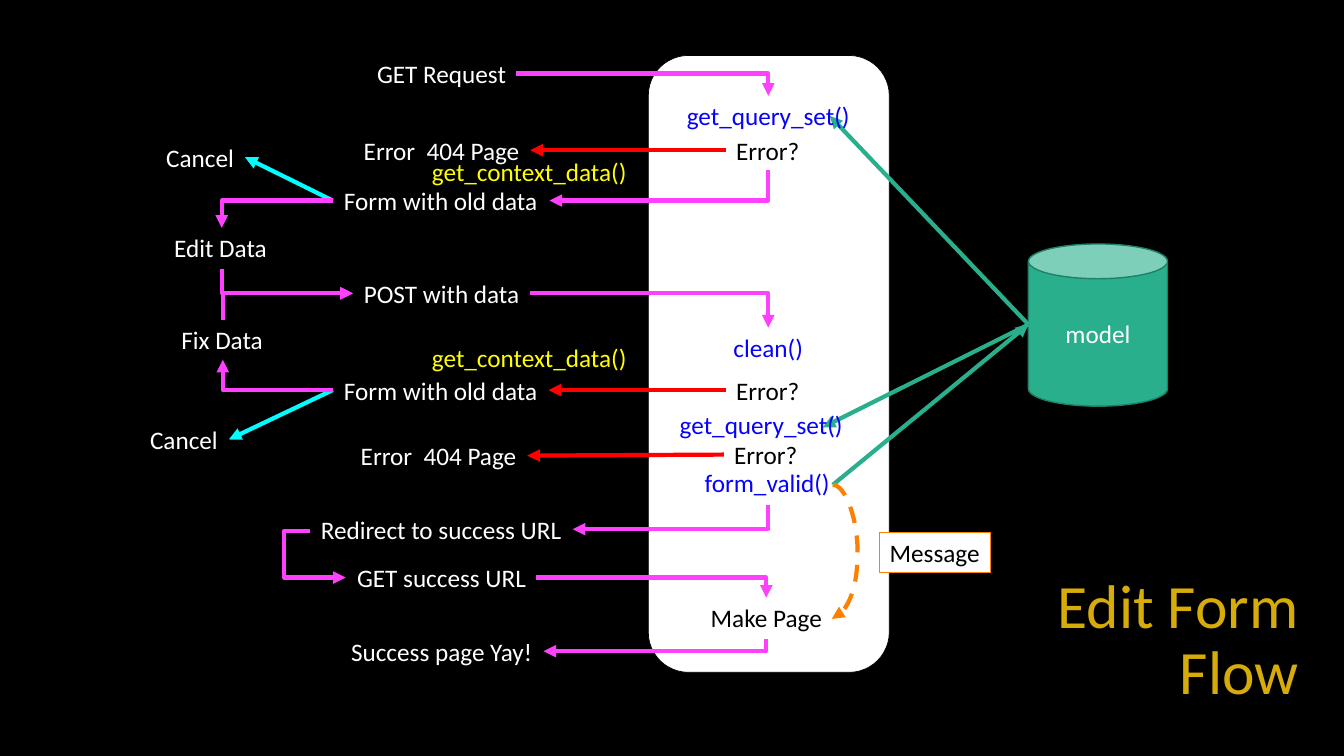
from dataclasses import dataclass

from lxml import etree
from pptx import Presentation
from pptx import util as u
from pptx.dml.color import RGBColor
from pptx.enum import dml, shapes, text
from pptx.oxml.ns import qn

EMU_PER_PX = 9144  # 100 px to the inch
TOP, LEFT, BOTTOM, RIGHT = range(4)
ROW = 40  # height of a one-line label


@dataclass(frozen=True)
class Theme:
    font: str = "Calibri"
    body: int = 18
    title: int = 44
    stroke: int = 3
    black: str = "000000"
    white: str = "FFFFFF"
    gold: str = "D7AC08"
    step: str = "FF40FF"
    error: str = "FF0000"
    cancel: str = "00FDFF"
    data: str = "29AF8C"
    data_edge: str = "1E8168"
    message: str = "FF7F00"
    method: str = "0500FF"
    context: str = "FFFF00"


THEME = Theme()


def px(length):
    return u.Emu(round(length * EMU_PER_PX))


def rgb(colour):
    return RGBColor.from_string(colour)


def write(shape, words, size=THEME.body, colour=THEME.white,
          align=text.PP_ALIGN.CENTER, wrap=False, grow=False,
          anchor=None, spacing=None):
    frame = shape.text_frame
    frame.word_wrap = wrap
    if grow:
        frame.auto_size = text.MSO_AUTO_SIZE.SHAPE_TO_FIT_TEXT
    if anchor is not None:
        frame.vertical_anchor = anchor
    para = frame.paragraphs[0]
    para.alignment = align
    para.line_spacing = spacing
    span = para.add_run()
    span.text = words
    span.font.name = THEME.font
    span.font.size = u.Pt(size)
    span.font.color.rgb = rgb(colour)


def add_label(page, words, left, top, width, **look):
    box = page.shapes.add_textbox(px(left), px(top), px(width), px(ROW))
    write(box, words, grow=True, **look)
    return box


def add_block(page, kind, left, top, width, height, fill, edge, weight):
    block = page.shapes.add_shape(kind, px(left), px(top), px(width), px(height))
    block.shadow.inherit = False
    block.fill.solid()
    block.fill.fore_color.rgb = rgb(fill)
    block.line.color.rgb = rgb(edge)
    block.line.width = u.Pt(weight)
    return block


def add_arrow(page, start, end, colour, kind=shapes.MSO_CONNECTOR.STRAIGHT,
              preset=None, bend=None, dash=None):
    arrow = page.shapes.add_connector(kind, *(px(v) for v in (*start, *end)))
    arrow.line.color.rgb = rgb(colour)
    arrow.line.width = u.Pt(THEME.stroke)
    if dash is not None:
        arrow.line.dash_style = dash
    properties = arrow._element.spPr
    geometry = properties.find(qn("a:prstGeom"))
    if preset:
        geometry.set("prst", preset)
    if bend is not None:
        guides = geometry.get_or_add_avLst()
        etree.SubElement(guides, qn("a:gd"), name="adj1", fmla=f"val {bend}")
    etree.SubElement(properties.find(qn("a:ln")), qn("a:tailEnd"), type="triangle")
    etree.SubElement(properties, qn("a:effectLst"))
    return arrow


def add_corner(page, start, end, upright=False):
    """One-corner arrow; an upright one sets off vertically."""
    rotation = 0
    if upright:
        # Lay the arrow flat around its centre, then turn it by a quarter
        (x1, y1), (x2, y2) = start, end
        middle_x, middle_y = (x1 + x2) / 2, (y1 + y2) / 2
        down = y2 > y1
        rotation = 90 if down else 270
        half_run = abs(y2 - y1) / 2
        half_drop = (x1 - x2 if down else x2 - x1) / 2
        start = middle_x - half_run, middle_y - half_drop
        end = middle_x + half_run, middle_y + half_drop
    arrow = add_arrow(page, start, end, THEME.step,
                      shapes.MSO_CONNECTOR.ELBOW, "bentConnector2")
    if rotation:
        arrow._element.spPr.find(qn("a:xfrm")).set("rot", str(rotation * 60000))


def add_link(page, source, source_side, target, target_side, colour):
    arrow = add_arrow(page, (0, 0), (1, 1), colour)
    arrow.begin_connect(source, source_side)
    arrow.end_connect(target, target_side)


def add_title(page):
    box = page.shapes.add_textbox(px(1000), px(564), px(298), px(145))
    write(box, "Edit Form Flow", size=THEME.title, colour=THEME.gold, wrap=True,
          align=text.PP_ALIGN.RIGHT, anchor=text.MSO_ANCHOR.MIDDLE, spacing=0.9)


def add_server_and_model(page):
    add_block(page, shapes.MSO_SHAPE.ROUNDED_RECTANGLE, 643, 55, 239, 612,
              THEME.white, THEME.black, 0.5)
    model = add_block(page, shapes.MSO_SHAPE.CAN, 1020, 242, 138, 161,
                      THEME.data, THEME.data_edge, 1)
    write(model, "model")


def add_pages_and_links(page):
    # Pages and requests
    for words, left, top, width in (
            ("GET Request", 363, 53, 150),
            ("POST with data", 350, 271, 176),
            ("Redirect to success URL", 307, 505, 261),
            ("GET success URL", 343, 553, 190),
            ("Success page Yay!", 337, 626, 202)):
        add_label(page, words, left, top, width)
    missing = [add_label(page, "Error  404 Page", left, top, 176)
               for left, top in ((350, 129), (347, 432))]
    forms = [add_label(page, "Form with old data", 330, top, 214)
             for top in (179, 367)]

    # User actions
    for words, left, top, width in (("Edit Data", 163, 226, 113),
                                    ("Fix Data", 170, 317, 102)):
        add_label(page, words, left, top, width, align=text.PP_ALIGN.LEFT)
    cancels = [add_label(page, "Cancel", left, top, 88, align=text.PP_ALIGN.LEFT)
               for left, top in ((155, 136), (139, 416))]

    # Server checks
    errors = [add_label(page, "Error?", left, top, 83, colour=THEME.black)
              for left, top in ((720, 129), (720, 367), (718, 431))]
    add_label(page, "Make Page", 694, 593, 132, colour=THEME.black)

    # Failures and cancellations
    for error, target in zip(errors, (missing[0], forms[1], missing[1])):
        add_link(page, error, LEFT, target, RIGHT, THEME.error)
    for form, cancel in zip(forms, cancels):
        add_link(page, form, LEFT, cancel, RIGHT, THEME.cancel)


def add_flow(page):
    # Sideways first, then up or down
    for start, end in (((512, 73), (762, 95)), ((330, 199), (220, 226)),
                       ((526, 291), (762, 325)), ((330, 387), (221, 357)),
                       ((532, 573), (760, 593))):
        add_corner(page, start, end)
    # Up or down first, then sideways
    for start, end in (((762, 169), (545, 199)), ((220, 267), (350, 291)),
                       ((221, 317), (350, 291)), ((762, 501), (568, 525)),
                       ((760, 634), (539, 646))):
        add_corner(page, start, end, upright=True)
    # Redirect loop
    add_arrow(page, (307, 527), (343, 573), THEME.step,
              shapes.MSO_CONNECTOR.ELBOW, bend=-69500)
    # Model access
    model_side = (1020, 322)
    for start, end in ((model_side, (823, 115)), ((826, 481), model_side),
                       (model_side, (816, 424))):
        add_arrow(page, start, end, THEME.data)


def add_message(page):
    add_arrow(page, (826, 481), (825, 614), THEME.message,
              shapes.MSO_CONNECTOR.CURVE, bend=-2500000,
              dash=dml.MSO_LINE.DASH)
    note = add_block(page, shapes.MSO_SHAPE.RECTANGLE, 872, 528, 110, ROW,
                     THEME.white, THEME.message, 0.75)
    write(note, "Message", colour=THEME.black, grow=True)


def add_methods(page):
    for top in (335, 150):
        add_label(page, "get_context_data()", 417, top, 216, colour=THEME.context)
    for words, left, top, width in (("get_query_set()", 670, 95, 184),
                                    ("get_query_set()", 663, 401, 184),
                                    ("clean()", 717, 325, 90),
                                    ("form_valid()", 688, 459, 146)):
        add_label(page, words, left, top, width, colour=THEME.method)


def main():
    deck = Presentation()
    deck.slide_width, deck.slide_height = px(1333), px(750)
    page = deck.slides.add_slide(deck.slide_layouts[6])
    page.background.fill.solid()
    page.background.fill.fore_color.rgb = rgb(THEME.black)
    add_title(page)
    add_server_and_model(page)
    add_pages_and_links(page)
    add_flow(page)
    add_message(page)
    add_methods(page)
    deck.save("out.pptx")


if __name__ == "__main__":
    main()
